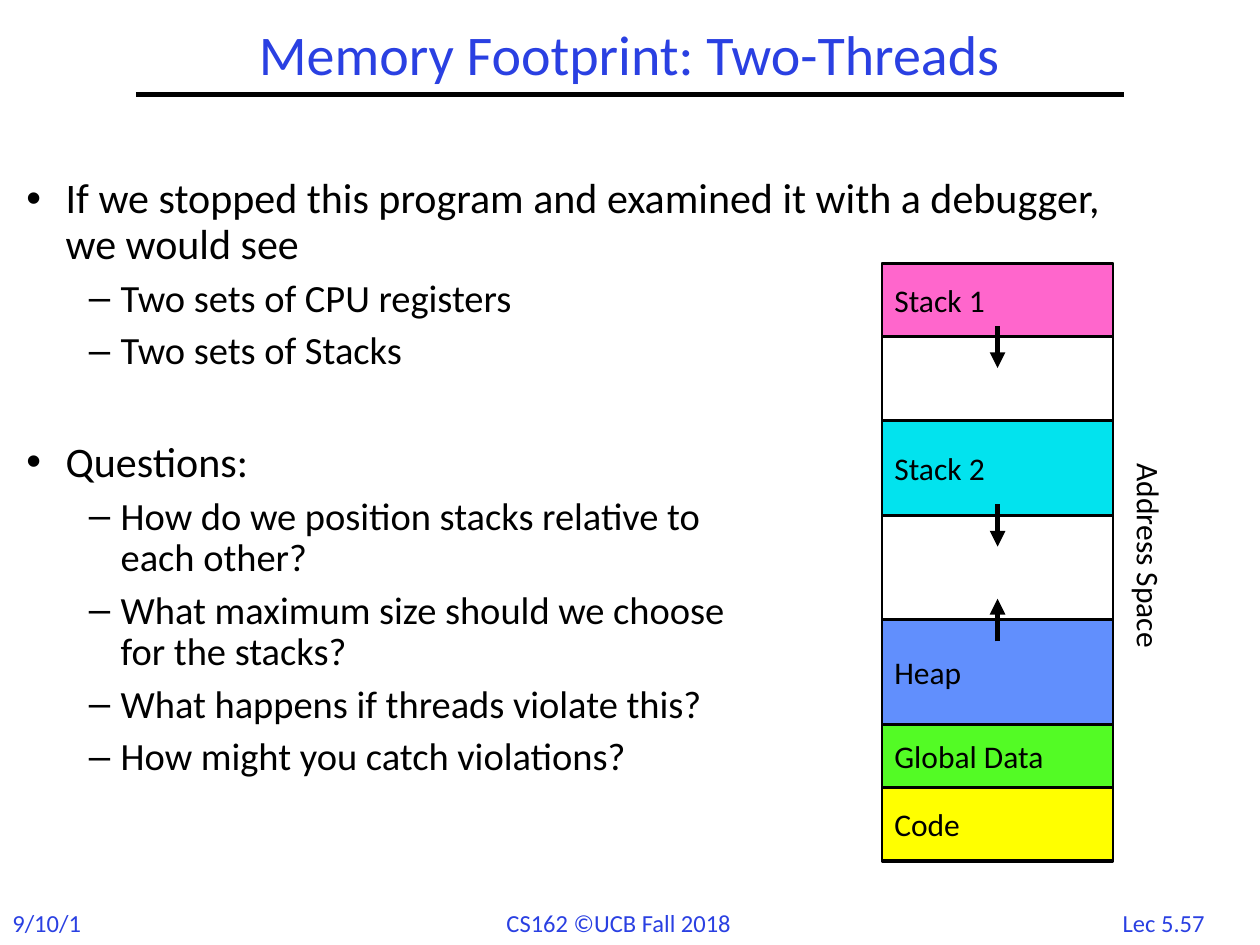
from lxml import etree
from pptx import Presentation
from pptx.dml.color import RGBColor
from pptx.enum import shapes, text
from pptx.oxml.ns import qn
from pptx.util import Cm, Pt

BLUE, BLACK = "2A40E2", "000000"


def rgb(value):
    return RGBColor.from_string(value)


def add_run(p, words, size, color=BLACK):
    r = p.add_run()
    r.text = words
    r.font.size = Pt(size)
    r.font.name = "Calibri"
    r.font.color.rgb = rgb(color)


prs = Presentation()
prs.slide_width, prs.slide_height = Cm(25.4), Cm(19.05)
s = prs.slides.add_slide(prs.slide_layouts[1])

# Title
sp = s.shapes.title
sp.left, sp.top, sp.width, sp.height = Cm(2.74), Cm(0.43), Cm(19.9), Cm(1.47)
tf = sp.text_frame
tf.auto_size = text.MSO_AUTO_SIZE.NONE
tf.vertical_anchor = text.MSO_ANCHOR.MIDDLE
p = tf.paragraphs[0]
p.alignment = text.PP_ALIGN.CENTER
p.line_spacing = 0.9
add_run(p, "Memory Footprint: Two-Threads", 32, BLUE)

# Bulleted list: level, space before in points, lines
items = [
    (0, 0, ["If we stopped this program and examined it with a debugger, we would see"]),
    (1, 6.2, ["Two sets of CPU registers"]),
    (1, 6.2, ["Two sets of Stacks"]),
    (0, 38.8, ["Questions:"]),
    (1, 6.2, ["How do we position stacks relative to", "each other?"]),
    (1, 6.2, ["What maximum size should we choose", "for the stacks?"]),
    (1, 6.2, ["What happens if threads violate this?"]),
    (1, 6.2, ["How might you catch violations?"]),
]
# Per level: bullet, left margin, hanging indent, text size
levels = [("•", Cm(0.79), Cm(-0.79), 24), ("–", Cm(1.9), Cm(-0.64), 22)]
sp = s.placeholders[1]
sp.left, sp.top, sp.width, sp.height = Cm(0.28), Cm(3.45), Cm(22.66), Cm(14.17)
tf = sp.text_frame
tf.auto_size = text.MSO_AUTO_SIZE.NONE
for i, (level, before, lines) in enumerate(items):
    p = tf.add_paragraph() if i else tf.paragraphs[0]
    bullet, margin, indent, size = levels[level]
    p.level = level
    p.line_spacing = 0.9
    p.space_before = Pt(before)
    pPr = p._p.get_or_add_pPr()
    pPr.set("marL", str(margin))
    pPr.set("indent", str(indent))
    etree.SubElement(pPr, qn("a:buChar")).set("char", bullet)
    for j, line in enumerate(lines):
        if j:
            p.add_line_break()
        add_run(p, line, size)

# Address space: outer frame, then regions from top to bottom
left, top, width = 17.78, 5.31, 4.66
regions = [
    ("", 12.06, "FFFFFF"),
    ("Stack 1", 1.48, "FF66CC"),
    ("", 1.69, None),
    ("Stack 2", 1.91, "02E3EE"),
    ("", 2.1, None),
    ("Heap", 2.11, "618FFD"),
    ("Global Data", 1.27, "53FB25"),
    ("Code", 1.48, "FFFF00"),
]
y = top
for name, height, color in regions:
    if color:
        sp = s.shapes.add_shape(shapes.MSO_SHAPE.RECTANGLE,
                                Cm(left), Cm(y), Cm(width), Cm(height))
        sp.shadow.inherit = False
        sp.fill.solid()
        sp.fill.fore_color.rgb = rgb(color)
        sp.line.color.rgb = rgb(BLACK)
        sp.line.width = Pt(1.5)
    if name:
        tf = sp.text_frame
        tf.word_wrap = False
        tf.vertical_anchor = text.MSO_ANCHOR.MIDDLE
        p = tf.paragraphs[0]
        p.alignment = text.PP_ALIGN.LEFT
        add_run(p, name, 18)
    if name or not color:
        y += height

# Title rule and growth arrows
center = left + width / 2
for x1, y1, x2, y2, arrow in [
    (2.74, 1.9, 22.66, 1.9, False),
    (center, 6.58, center, 7.42, True),
    (center, 10.16, center, 11.02, True),
    (center, 12.93, center, 12.07, True),
]:
    line = s.shapes.add_connector(shapes.MSO_CONNECTOR.STRAIGHT,
                                  Cm(x1), Cm(y1), Cm(x2), Cm(y2))
    line.line.color.rgb = rgb(BLACK)
    line.line.width = Pt(3)
    if arrow:
        ln = line.line._get_or_add_ln()
        etree.SubElement(ln, qn("a:tailEnd")).set("type", "triangle")
    etree.SubElement(line._element.spPr, qn("a:effectLst"))

# Side label and footer
for words, x, y, w, h, size, color, align, angle in [
    ("Address Space", 21.03, 10.72, 4.27, 1.02, 18, BLACK, "LEFT", 90),
    ("9/10/18", 0, 18.19, 2.03, 0.86, 14, BLUE, "LEFT", 0),
    ("CS162 ©UCB Fall 2018", 9.96, 18.19, 5.28, 0.86, 14, BLUE, "LEFT", 0),
    ("Lec 5.57", 22.28, 18.19, 2.36, 0.86, 14, BLUE, "CENTER", 0),
]:
    sp = s.shapes.add_textbox(Cm(x), Cm(y), Cm(w), Cm(h))
    sp.rotation = angle
    tf = sp.text_frame
    tf.word_wrap = False
    p = tf.paragraphs[0]
    p.alignment = text.PP_ALIGN[align]
    add_run(p, words, size, color)

prs.save("out.pptx")
